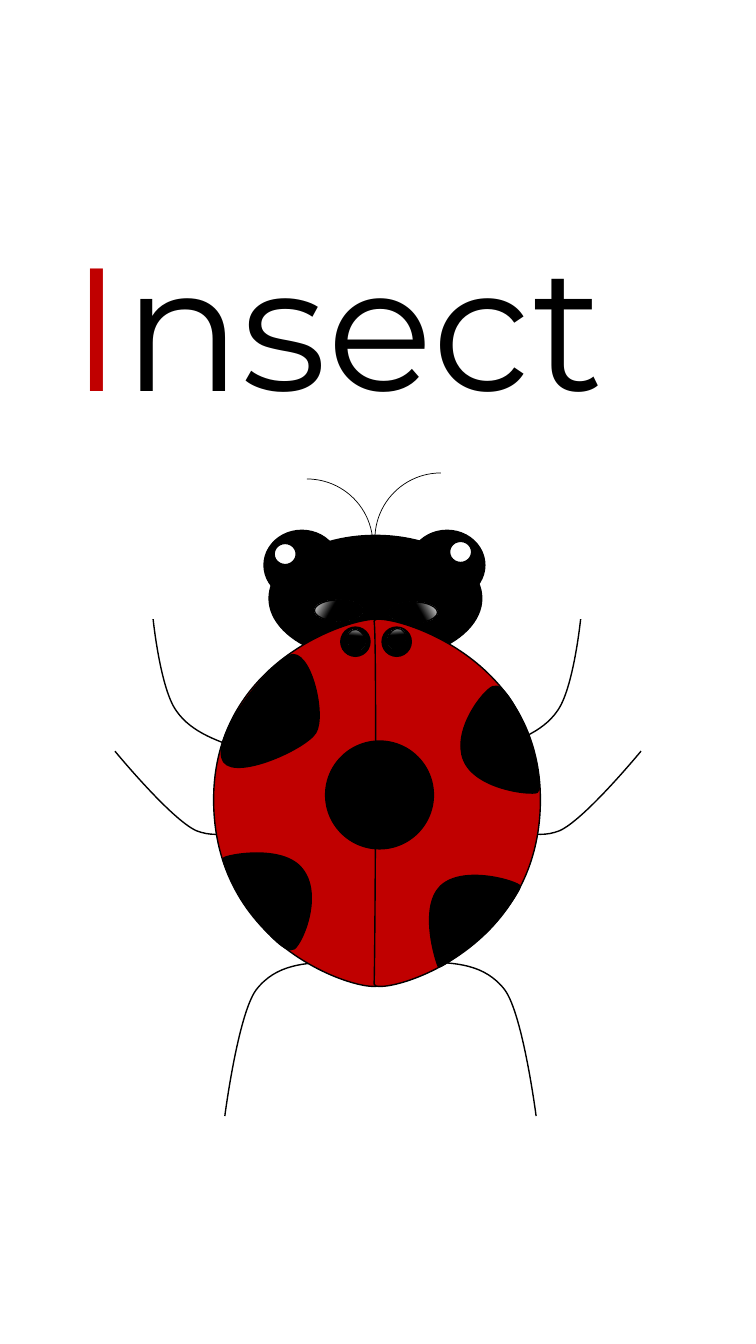
from math import cos, radians, sin

from lxml.etree import SubElement
from pptx import Presentation
from pptx.dml.color import RGBColor
from pptx.enum.shapes import MSO_SHAPE as Preset
from pptx.enum.text import MSO_AUTO_SIZE as AutoSize
from pptx.oxml.ns import qn
from pptx.util import Pt

COLORS = {"black": "000000", "red": "C00000", "white": "FFFFFF"}
FONT = "Montserrat"
SLIDE_SIZE = (540, 959.76)
# Title runs: text, colour, outline width
TITLE = [("I", "red", 0.75), ("nsect", "black", 0)]
TITLE_BOX = (43.2, 151.2, 455.8, 158.4)

# Curves: box, rotation, then a start point and three Bézier points per segment.
# Left parts begin with the sum of the left and right x positions.
LEFT_LEGS = [
    (543.6, (160.6, 686.9, 79.2, 110.2), 0,
     [(239.8, 686.9), (218.2, 687.6), (197.3, 688.3), (182.9, 707),
      (169.9, 725), (160.6, 797), (160.6, 797)]),
    (540, (102.2, 511.2, 69.1, 96.5), 328.3,
     [(191.5, 581.8), (175, 591.1), (159.1, 600.5), (140.4, 593.3),
      (122.4, 585.4), (82.1, 536.4), (82.1, 536.4)]),
    (524.2, (109.4, 442.1, 67.7, 94.3), 0,
     [(177.1, 536.4), (157, 529.9), (136.8, 523.4), (126, 507.6),
      (114.5, 491.8), (109.4, 442.1), (109.4, 442.1)]),
]
LEFT_WING = (538.6, (152.6, 442.1, 118.8, 262.8), 0,
             [(152.6, 573.1), (151.2, 460.8), (273.6, 435.6), (271.4, 443.5),
              (269.3, 451.4), (270.7, 693.4), (271.4, 702.7),
              (272.2, 712.1), (154.1, 685.4), (152.6, 573.1)])
LOWER_RIGHT_SPOT = ((307.4, 608.4, 46.1, 82.1), 45.5,
                    [(314.6, 632.9), (331.2, 617), (371.5, 630), (371.5, 632.9),
                     (372.2, 635), (357.8, 655.9), (347.8, 665.3),
                     (338.4, 674.6), (314.6, 691.9), (313.2, 690.5),
                     (311.8, 688.3), (298.8, 648.7), (314.6, 632.9)])
OTHER_SPOTS = [
    ((172.8, 594.7, 48.2, 82.1), 141.8,
     [(216, 620.6), (230.4, 638.6), (216.7, 672.5), (210.2, 677.5),
      (203.8, 682.6), (187.2, 661.7), (178.6, 650.9),
      (169.9, 640.1), (157.7, 614.9), (159.8, 612.7),
      (161.3, 610.6), (202.3, 602.6), (216, 620.6)]),
    ((329.8, 492.5, 49.7, 82.1), 337.7,
     [(331.2, 542.9), (322.6, 522), (344.9, 493.2), (352.1, 490.3),
      (360, 486.7), (371.5, 510.5), (376.6, 523.4),
      (381.6, 536.4), (388.1, 563.8), (383.8, 565.9),
      (379.4, 568.1), (339.8, 563.8), (331.2, 542.9)]),
    ((169.9, 466.6, 58.3, 92.2), 205.6,
     [(225.4, 523.4), (217.4, 535.7), (162, 560.2), (158.4, 540.7),
      (154.1, 521.3), (192.2, 474.5), (206.6, 468),
      (221.8, 461.5), (233.3, 511.2), (225.4, 523.4)]),
]

# Antennae and shines: box, rotation, flipped
ANTENNAE = [((267.8, 337.7, 94.3, 94.3), 270, False),
            ((172.1, 342, 94.3, 94.3), 90, True)]
CHEEK_SHINES = [((277.9, 429.8, 34.6, 15.1), 0, False),
                ((224.6, 428.4, 34.6, 15.1), 0, True)]
DOT_SHINES = [((275.8, 450, 15.1, 12.2), 295.3, False),
              ((247, 450.7, 15.1, 12.2), 64.7, True)]
HEAD = (192.2, 382.3, 151.9, 90)
CENTRE_SPOT = (232.6, 529.2, 77, 77)
EYES = [(292.3, 378.7, 54, 49.7), (188.6, 378.7, 54, 49.7)]
LEFT_DOT = (243.4, 447.8, 20.9, 20.9)
RIGHT_DOT = (272.9, 447.8, 20.9, 20.9)
PUPILS = [(321.1, 386.6, 15.8, 15.1), (195.8, 388.1, 15.8, 15.1)]


def color(name):
    return RGBColor.from_string(COLORS[name])


def finish(shape, fill=None, line_width=1):
    """Set fill (a colour name, "shine" or None) and a black outline."""
    shape.shadow.inherit = False
    shape.line.color.rgb = color("black")
    shape.line.width = Pt(line_width)
    if fill is None:
        shape.fill.background()
    elif fill == "shine":
        shape.fill.gradient()
        shape.fill.gradient_angle = 210
        stops = zip(shape.fill.gradient_stops, [(0, "white"), (0.38, "black")])
        for stop, (position, name) in stops:
            stop.position = position
            stop.color.rgb = color(name)
    else:
        shape.fill.solid()
        shape.fill.fore_color.rgb = color(fill)


def add_preset(group, preset, box, fill=None, rotation=0, flipped=False, line_width=1):
    shape = group.shapes.add_shape(preset, *map(Pt, box))
    shape.rotation = rotation
    if flipped:
        shape._element.spPr.find(qn("a:xfrm")).set("flipH", "1")
    finish(shape, fill, line_width)


def mirror(x_sum, box, rotation, points):
    left, top, width, height = box
    return ((x_sum - left - width, top, width, height), -rotation % 360,
            [(x_sum - x, y) for x, y in points])


def to_local(point, box, rotation):
    """Turn a point back around the box centre and measure it from the box corner."""
    left, top, width, height = box
    x, y = point[0] - left - width / 2, point[1] - top - height / 2
    cosine, sine = cos(radians(rotation)), sin(radians(rotation))
    return Pt(x * cosine + y * sine + width / 2), Pt(y * cosine - x * sine + height / 2)


def add_curve(group, box, rotation, points, fill=None):
    local = [to_local(point, box, rotation) for point in points]
    builder = group.shapes.build_freeform(*local[0])
    builder.add_line_segments(local[1:], close=False)
    shape = builder.convert_to_shape()
    shape.left, shape.top, shape.width, shape.height = map(Pt, box)
    shape.rotation = rotation

    outline = next(shape._element.iter(qn("a:path")))
    for command in list(outline):
        outline.remove(command)
    outline.set("w", str(shape.width))
    outline.set("h", str(shape.height))
    segments = [local[i:i + 3] for i in range(1, len(local), 3)]
    commands = [("a:moveTo", local[:1])] + [("a:cubicBezTo", part) for part in segments]
    if fill:
        commands.append(("a:close", []))
    for tag, vertices in commands:
        command = SubElement(outline, qn(tag))
        for x, y in vertices:
            SubElement(command, qn("a:pt"), x=str(x), y=str(y))
    finish(shape, fill)


def set_outline(run, width):
    properties = run.font._element
    line = SubElement(properties, qn("a:ln"))
    properties.insert(0, line)
    if width:
        line.set("w", str(Pt(width)))
        fill = SubElement(line, qn("a:solidFill"))
        SubElement(fill, qn("a:srgbClr"), val=COLORS["black"])
    else:
        SubElement(line, qn("a:noFill"))


def add_text(slide, runs, box, size, font):
    frame = slide.shapes.add_textbox(*map(Pt, box)).text_frame
    frame.word_wrap = True
    frame.auto_size = AutoSize.SHAPE_TO_FIT_TEXT
    for text, name, outline in runs:
        run = frame.paragraphs[0].add_run()
        run.text = text
        run.font.size = Pt(size)
        run.font.name = font
        run.font.color.rgb = color(name)
        set_outline(run, outline)


def add_ladybird(slide):
    group = slide.shapes.add_group_shape()
    for leg in LEFT_LEGS:
        add_curve(group, *leg[1:])
        add_curve(group, *mirror(*leg))
    for box, rotation, flipped in ANTENNAE:
        add_preset(group, Preset.ARC, box, None, rotation, flipped, line_width=0.5)
    add_preset(group, Preset.OVAL, HEAD, "black")
    for wing in (LEFT_WING[1:], mirror(*LEFT_WING)):
        add_curve(group, *wing, fill="red")
    for box in [CENTRE_SPOT, *EYES, LEFT_DOT]:
        add_preset(group, Preset.OVAL, box, "black")
    add_curve(group, *LOWER_RIGHT_SPOT, fill="black")
    for box, rotation, flipped in CHEEK_SHINES:
        add_preset(group, Preset.OVAL, box, "shine", rotation, flipped)
    for box in PUPILS:
        add_preset(group, Preset.OVAL, box, "white")
    for spot in OTHER_SPOTS:
        add_curve(group, *spot, fill="black")
    add_preset(group, Preset.OVAL, RIGHT_DOT, "black")
    for box, rotation, flipped in DOT_SHINES:
        add_preset(group, Preset.OVAL, box, "shine", rotation, flipped)


def main():
    presentation = Presentation()
    presentation.slide_width, presentation.slide_height = map(Pt, SLIDE_SIZE)
    slide = presentation.slides.add_slide(presentation.slide_layouts[6])
    add_text(slide, TITLE, TITLE_BOX, size=125, font=FONT)
    add_ladybird(slide)
    presentation.save("out.pptx")


if __name__ == "__main__":
    main()
